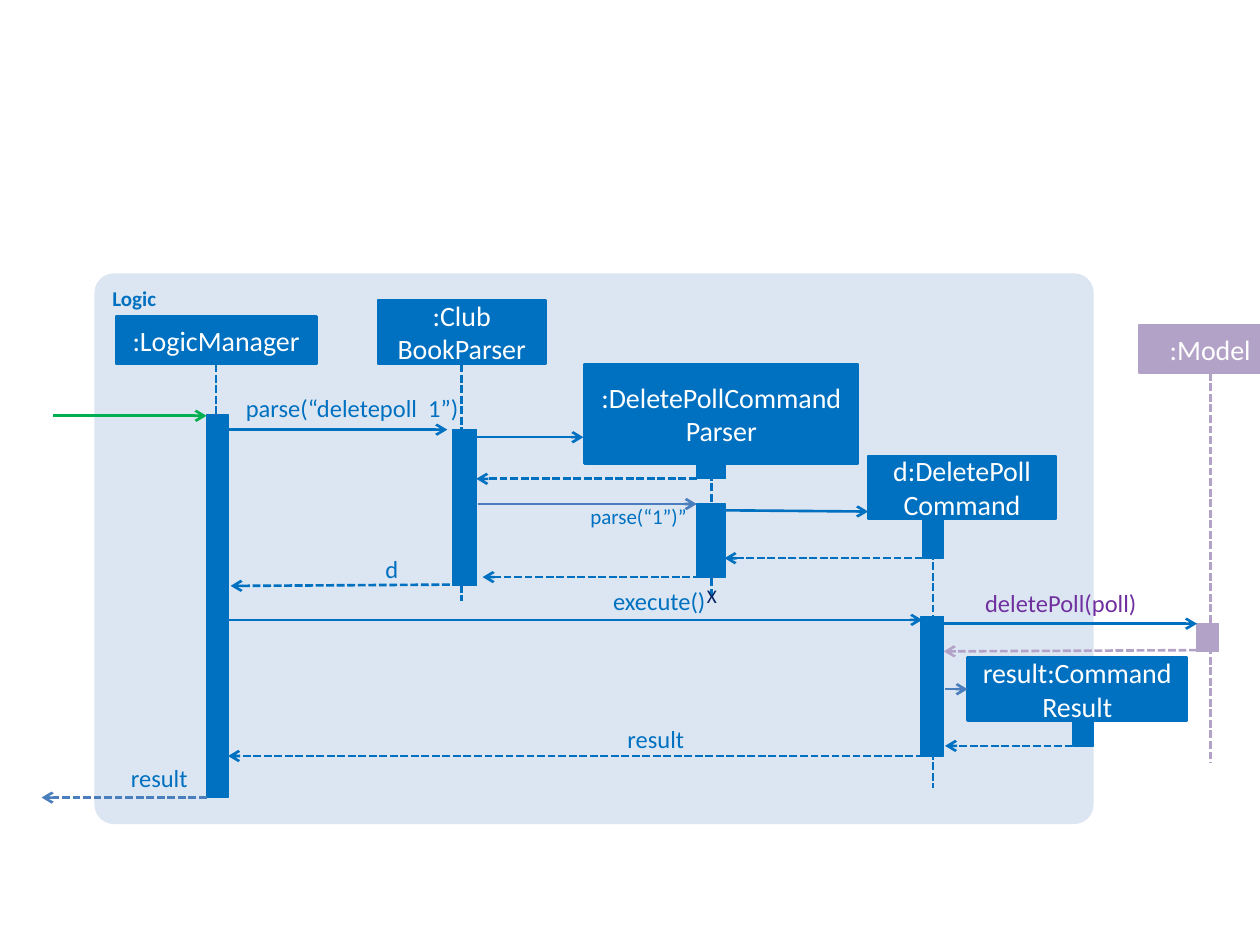
from lxml import etree
from pptx import Presentation
from pptx import util as u
from pptx.dml.color import RGBColor
from pptx.enum import dml, shapes, text
from pptx.oxml import ns

BLUE = RGBColor(0x00, 0x70, 0xC0)
STEEL = RGBColor(0x4B, 0x7E, 0xBC)
GREEN = RGBColor(0x00, 0xB0, 0x50)
LILAC = RGBColor(0xB3, 0xA2, 0xC7)
PURPLE = RGBColor(0x70, 0x30, 0xA0)
NAVY = RGBColor(0x00, 0x20, 0x60)
PALE = RGBColor(0xDC, 0xE6, 0xF2)
WHITE = RGBColor(0xFF, 0xFF, 0xFF)
TOP, LEFT, BOTTOM = 0, 1, 2
RIGHT_ALIGN, CENTER = text.PP_ALIGN.RIGHT, text.PP_ALIGN.CENTER

HEADERS = {
    "manager": (":LogicManager", (0.92, 2.51, 1.59, 0.38), BLUE),
    "book": (":Club\nBookParser", (3, 2.38, 1.33, 0.51), BLUE),
    "parser": (":DeletePollCommand\nParser", (4.64, 2.89, 2.17, 0.79), BLUE),
    "command": ("d:DeletePoll\vCommand", (6.89, 3.62, 1.49, 0.5), BLUE),
    "result": ("result:Command Result", (7.68, 5.22, 1.74, 0.5), BLUE),
    "model": (":Model", (9.04, 2.58, 1.13, 0.38), LILAC),
}
BARS = {
    "manager run": ((1.64, 3.29, 0.17, 3.04), BLUE),
    "book run": ((3.59, 3.41, 0.19, 1.24), BLUE),
    "parser creation": ((5.53, 3.67, 0.23, 0.13), BLUE),
    "parser run": ((5.53, 4, 0.23, 0.58), BLUE),
    "command creation": ((7.32, 4.13, 0.17, 0.3), BLUE),
    "command run": ((7.31, 4.89, 0.18, 1.11), BLUE),
    "result creation": ((8.51, 5.73, 0.17, 0.19), BLUE),
    "model run": ((9.5, 4.95, 0.17, 0.22), LILAC),
}
LIFELINES = [
    ("manager", BOTTOM, 1.72, 2.89, 5.75, BLUE),
    ("book", BOTTOM, 3.67, 2.89, 4.77, BLUE),
    ("parser creation", TOP, 5.65, 3.67, 4.75, BLUE),
    ("command creation", TOP, 7.41, 4.13, 6.25, BLUE),
    ("model", BOTTOM, 9.6, 2.96, 6.05, LILAC),
]
CALLS = [
    ((0.42, 3.3), (1.64, 3.3), GREEN, None),
    ((1.81, 3.41), (3.55, 3.41), BLUE, None),
    ((3.73, 3.47), (4.63, 3.47), BLUE, None),
    ((3.79, 4), (5.53, 4), STEEL, None),
    ((5.75, 4.05), (6.89, 4.06), BLUE, None),
    ((1.81, 4.92), (7.32, 4.92), BLUE, None),
    ((7.49, 4.95), (9.5, 4.95), BLUE, None),
    ((7.5, 5.47), (7.68, 5.47), STEEL, "result"),
]
RETURNS = [
    ((5.53, 3.8), (3.78, 3.8), BLUE, None),
    ((7.41, 4.43), (5.75, 4.43), BLUE, "command creation"),
    ((5.65, 4.58), (3.83, 4.58), BLUE, "parser run"),
    ((3.57, 4.64), (1.83, 4.65), BLUE, None),
    ((9.5, 5.16), (7.49, 5.17), LILAC, None),
    ((8.6, 5.92), (7.5, 5.92), BLUE, "result creation"),
    ((7.33, 6), (1.81, 6), BLUE, None),
    ((1.64, 6.33), (0.33, 6.33), STEEL, None),
]
LABELS = [
    ("parse(“deletepoll  1”)", (1.91, 3.12, 1.73, 0.24), 14, BLUE, RIGHT_ALIGN),
    ("parse(“1”)”", (3.8, 4, 1.65, 0.2), 12, BLUE, RIGHT_ALIGN),
    ("d", (2.92, 4.4, 0.24, 0.24), 14, BLUE, RIGHT_ALIGN),
    ("execute()", (4.66, 4.65, 0.94, 0.24), 14, BLUE, RIGHT_ALIGN),
    ("deletePoll(poll)", (7.64, 4.67, 1.56, 0.24), 14, PURPLE, CENTER),
    ("result", (4.75, 5.75, 0.68, 0.24), 14, BLUE, RIGHT_ALIGN),
    ("result", (0.66, 6.06, 0.83, 0.24), 14, BLUE, RIGHT_ALIGN),
    ("X", (5.6, 4.64, 0.1, 0.19), 11, NAVY, CENTER),
]


def write(frame, wording, size, color, align, bold=False):
    frame.text = wording
    for para in frame.paragraphs:
        para.alignment = align
        for span in para.runs:
            span.font.name = "Calibri"
            span.font.size = u.Pt(size)
            span.font.color.rgb = color
            span.font.bold = bold


def add_box(page, place, color, outline=None, kind=shapes.MSO_SHAPE.RECTANGLE):
    box = page.shapes.add_shape(kind, *map(u.Inches, place))
    box.shadow.inherit = False
    box.fill.solid()
    box.fill.fore_color.rgb = color
    if outline:
        box.line.color.rgb = color
        box.line.width = u.Pt(outline)
    else:
        box.line.fill.background()
    return box


def add_frame(page):
    frame = add_box(page, (0.75, 2.17, 7.93, 4.37), PALE,
                    kind=shapes.MSO_SHAPE.ROUNDED_RECTANGLE)
    frame.adjustments[0] = 0.035
    frame.text_frame.vertical_anchor = text.MSO_ANCHOR.TOP
    write(frame.text_frame, "Logic", 12, BLUE, text.PP_ALIGN.LEFT, bold=True)


def add_header(page, wording, place, color):
    header = add_box(page, place, color, 1.5)
    header.text_frame.word_wrap = True
    header.text_frame.vertical_anchor = text.MSO_ANCHOR.MIDDLE
    write(header.text_frame, wording, 16, WHITE, CENTER)
    return header


def add_line(page, start, end, color, dashed=False, arrow=False):
    line = page.shapes.add_connector(shapes.MSO_CONNECTOR.STRAIGHT,
                                     *map(u.Inches, (*start, *end)))
    line.line.color.rgb = color
    line.line.width = u.Pt(1.5)
    if dashed:
        line.line.dash_style = dml.MSO_LINE.SQUARE_DOT
    if arrow:
        outline = line.line._get_or_add_ln()
        etree.SubElement(outline, ns.qn("a:tailEnd"), type="arrow")
    etree.SubElement(line._element.spPr, ns.qn("a:effectLst"))
    return line


def add_label(page, wording, place, size, color, align):
    label = page.shapes.add_textbox(*map(u.Inches, place))
    frame = label.text_frame
    frame.margin_left = frame.margin_right = 0
    frame.margin_top = frame.margin_bottom = 0
    frame.word_wrap = True
    write(frame, wording, size, color, align)


def main():
    deck = Presentation()
    deck.slide_width, deck.slide_height = u.Inches(10), u.Inches(7.5)
    page = deck.slides.add_slide(deck.slide_layouts[6])

    add_frame(page)
    boxes = {name: add_header(page, *header) for name, header in HEADERS.items()}
    for name, (place, color) in BARS.items():
        boxes[name] = add_box(page, place, color, 0.75)

    for name, side, x, top, bottom, color in LIFELINES:
        lifeline = add_line(page, (x, top), (x, bottom), color, dashed=True)
        lifeline.begin_connect(boxes[name], side)
        lifeline.end_x = lifeline.begin_x
    for start, end, color, target in CALLS:
        call = add_line(page, start, end, color, arrow=True)
        if target:
            call.end_connect(boxes[target], LEFT)
    for start, end, color, source in RETURNS:
        reply = add_line(page, start, end, color, dashed=True, arrow=True)
        if source:
            reply.begin_connect(boxes[source], BOTTOM)

    for label in LABELS:
        add_label(page, *label)
    deck.save("out.pptx")


if __name__ == "__main__":
    main()
